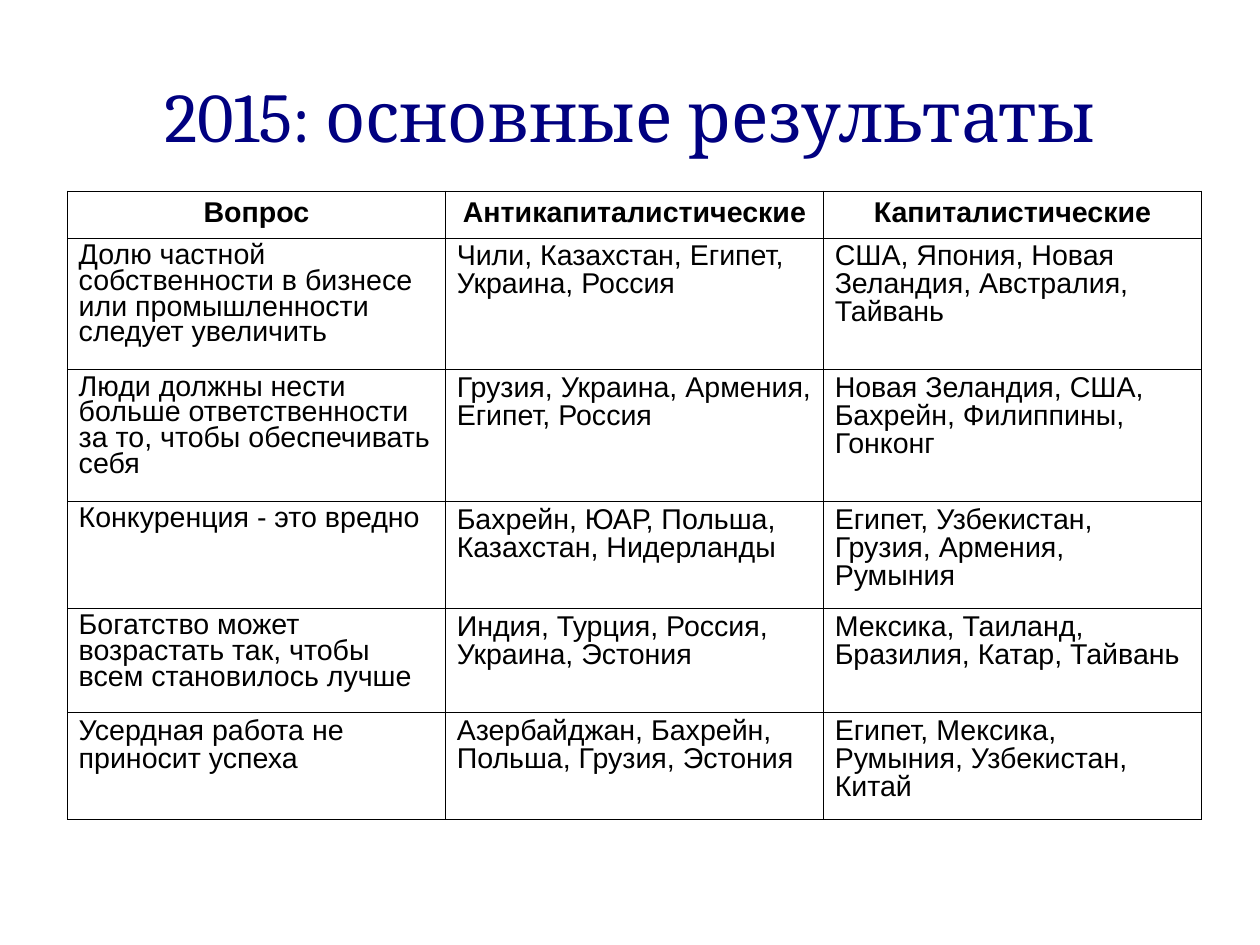
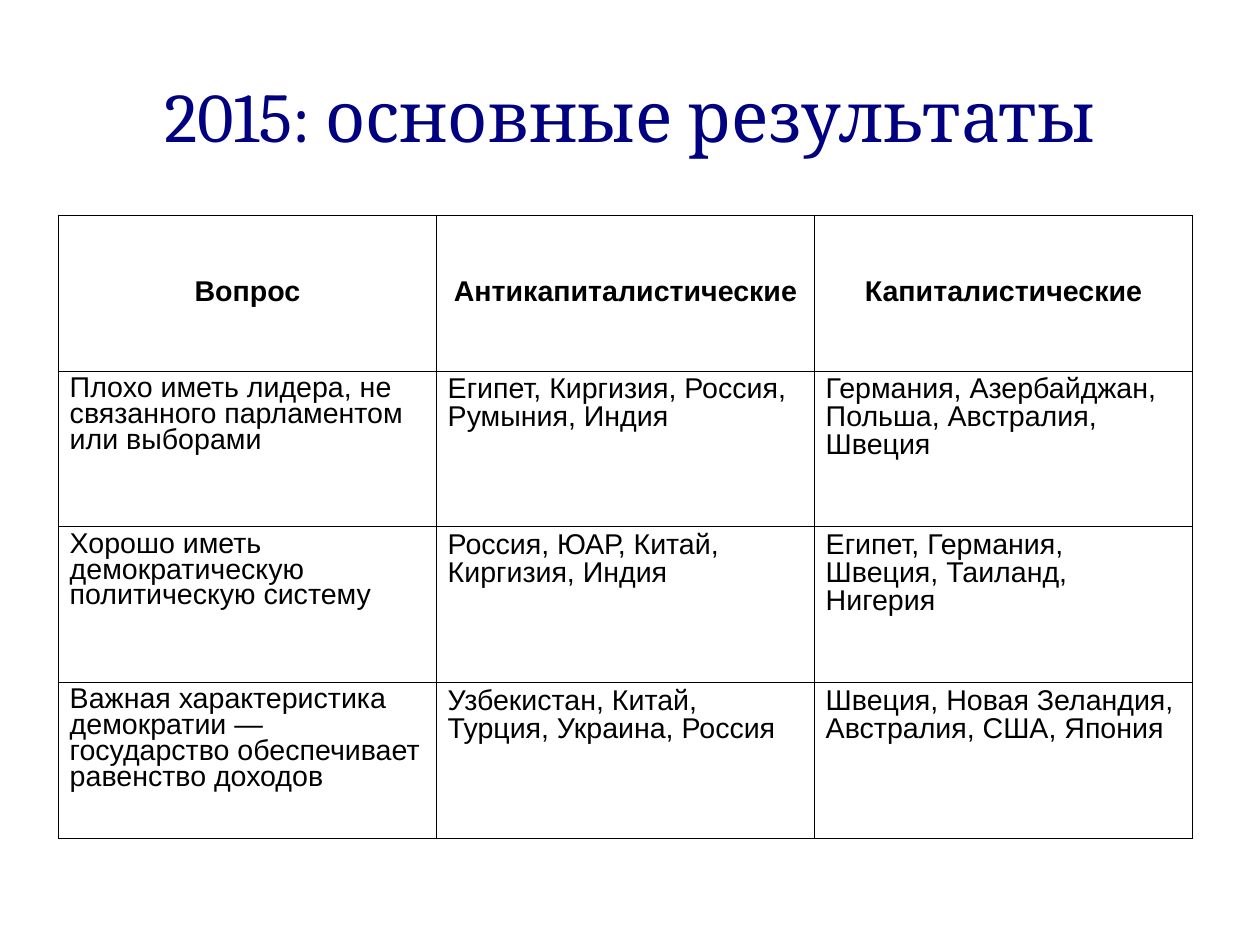
from dataclasses import dataclass

from lxml import etree
from pptx import Presentation
from pptx.dml.color import RGBColor
from pptx.enum.text import MSO_ANCHOR, PP_ALIGN
from pptx.oxml.ns import qn
from pptx.util import Cm, Pt

CENTER, LEFT = PP_ALIGN.CENTER, PP_ALIGN.LEFT
MIDDLE, TOP = MSO_ANCHOR.MIDDLE, MSO_ANCHOR.TOP

TITLE = "2015: основные результаты"
HEADINGS = ("Вопрос", "Антикапиталистические", "Капиталистические")

SLIDES = [
    {
        "left": 1.5,
        "top": 4.24,
        "row_heights": (1.04, 2.93, 2.93, 2.38, 2.31, 2.38),
        "loose_questions": {5},
        "rows": [
            ("Долю частной собственности в бизнесе или промышленности следует увеличить",
             "Чили, Казахстан, Египет, Украина, Россия",
             "США, Япония, Новая Зеландия, Австралия, Тайвань"),
            ("Люди должны нести больше ответственности за то, чтобы обеспечивать себя",
             "Грузия, Украина, Армения, Египет, Россия",
             "Новая Зеландия, США, Бахрейн, Филиппины, Гонконг"),
            ("Конкуренция - это вредно",
             "Бахрейн, ЮАР, Польша, Казахстан, Нидерланды",
             "Египет, Узбекистан, Грузия, Армения, Румыния"),
            ("Богатство может возрастать так, чтобы всем становилось лучше",
             "Индия, Турция, Россия, Украина, Эстония",
             "Мексика, Таиланд, Бразилия, Катар, Тайвань"),
            ("Усердная работа не приносит успеха",
             "Азербайджан, Бахрейн, Польша, Грузия, Эстония",
             "Египет, Мексика, Румыния, Узбекистан, Китай"),
        ],
    },
    {
        "left": 1.3,
        "top": 4.78,
        "row_heights": (3.46,) * 4,
        "loose_questions": set(),
        "rows": [
            ("Плохо иметь лидера, не связанного парламентом или выборами",
             "Египет, Киргизия, Россия, Румыния, Индия",
             "Германия, Азербайджан, Польша, Австралия, Швеция"),
            ("Хорошо иметь демократическую политическую систему",
             "Россия, ЮАР, Китай, Киргизия, Индия",
             "Египет, Германия, Швеция, Таиланд, Нигерия"),
            ("Важная характеристика демократии — государство обеспечивает равенство доходов",
             "Узбекистан, Китай, Турция, Украина, Россия",
             "Швеция, Новая Зеландия, Австралия, США, Япония"),
        ],
    },
]


@dataclass(frozen=True)
class Theme:
    title_color: str = "000080"
    text_color: str = "000000"
    cell_color: str = "FFFFFF"
    border_color: str = "000000"
    title_font: str = "Cambria"
    body_font: str = "Arial"
    title_size: int = 44
    body_size: int = 18
    border_width: float = 0.06
    title_spacing: float = 0.93
    body_spacing: float = 0.87
    question_spacing: float = 0.81


THEME = Theme()
SLIDE_WIDTH, SLIDE_HEIGHT = 28, 21
TITLE_BOX = (1.4, 0.84, 25.2, 3.5)
COLUMN_WIDTH = 8.4
TITLE_FRAME = {"word_wrap": True, "vertical_anchor": MIDDLE, "margin_left": 0,
               "margin_top": Cm(0.1), "margin_right": 0, "margin_bottom": 0}
CELL_FRAME = {"margin_left": Cm(0.25), "margin_top": Cm(0.13),
              "margin_right": Cm(0.25), "margin_bottom": Cm(0.13)}
TITLE_FONT = {"name": THEME.title_font, "size": Pt(THEME.title_size), "bold": False}
BODY_FONT = {"name": THEME.body_font, "size": Pt(THEME.body_size)}


def apply(target, values):
    for name, value in values.items():
        setattr(target, name, value)


def write(paragraph, text, layout, font, color):
    paragraph.text = text
    apply(paragraph, layout)
    run_font = paragraph.runs[0].font
    apply(run_font, font)
    run_font.color.rgb = RGBColor.from_string(color)


def add_title(slide):
    text_box = slide.shapes.add_textbox(*map(Cm, TITLE_BOX))
    apply(text_box.text_frame, TITLE_FRAME)
    write(text_box.text_frame.paragraphs[0], TITLE,
          {"alignment": CENTER, "line_spacing": THEME.title_spacing},
          TITLE_FONT, THEME.title_color)


def add_borders(cell):
    properties = cell._tc.get_or_add_tcPr()
    for side in ("lnL", "lnR", "lnT", "lnB"):
        line = etree.SubElement(properties, qn(f"a:{side}"), w=str(Pt(THEME.border_width)))
        fill = etree.SubElement(line, qn("a:solidFill"))
        etree.SubElement(fill, qn("a:srgbClr"), val=THEME.border_color)


def format_cell(cell, text, is_heading, spacing):
    apply(cell, {**CELL_FRAME, "vertical_anchor": MIDDLE if is_heading else TOP})
    add_borders(cell)
    cell.fill.solid()
    cell.fill.fore_color.rgb = RGBColor.from_string(THEME.cell_color)
    write(cell.text_frame.paragraphs[0], text,
          {"alignment": CENTER if is_heading else LEFT, "line_spacing": spacing},
          {**BODY_FONT, "bold": is_heading}, THEME.text_color)


def add_results_table(slide, content):
    rows = [HEADINGS, *content["rows"]]
    heights = content["row_heights"]
    table = slide.shapes.add_table(
        len(rows), len(HEADINGS), Cm(content["left"]), Cm(content["top"]),
        Cm(COLUMN_WIDTH * len(HEADINGS)), Cm(sum(heights))).table
    apply(table, {"first_row": False, "horz_banding": False})
    for column in table.columns:
        column.width = Cm(COLUMN_WIDTH)
    for row_index, (texts, height) in enumerate(zip(rows, heights)):
        table.rows[row_index].height = Cm(height)
        is_heading = row_index == 0
        for column_index, text in enumerate(texts):
            is_tight = (column_index == 0 and not is_heading
                        and row_index not in content["loose_questions"])
            spacing = THEME.question_spacing if is_tight else THEME.body_spacing
            format_cell(table.cell(row_index, column_index), text, is_heading, spacing)


def main():
    presentation = Presentation()
    apply(presentation, {"slide_width": Cm(SLIDE_WIDTH), "slide_height": Cm(SLIDE_HEIGHT)})
    blank_layout = presentation.slide_layouts[6]
    for content in SLIDES:
        slide = presentation.slides.add_slide(blank_layout)
        add_title(slide)
        add_results_table(slide, content)
    presentation.save("out.pptx")


if __name__ == "__main__":
    main()
